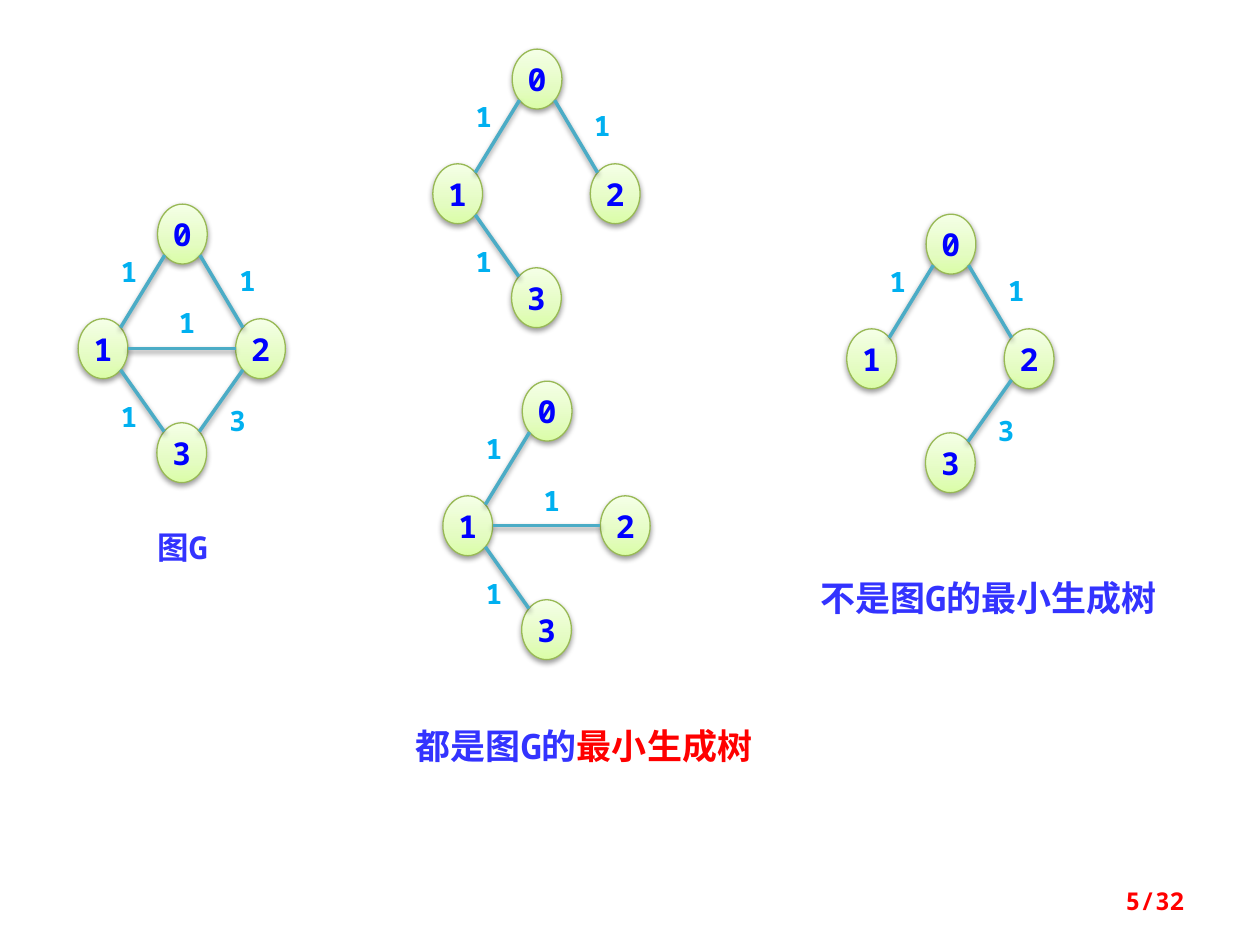
"""Build a slide comparing the spanning trees of a small weighted graph."""
import math

import pptx
import pptx.enum.shapes
import pptx.enum.text
import pptx.oxml
import pptx.oxml.ns
import pptx.util
from pptx.dml.color import RGBColor

THEME = {
    "mono": "Noto Sans Mono", "cjk": "Noto Sans CJK JP",
    "vertex": "0000FF", "weight": "00B0F0", "caption": "3333FF", "accent": "FF0000",
    "outline": "98B955", "edge": "4BACC6", "shadow": "000000",
    "gradient": [(0, "DAFDA7"), (35, "E4FCC2"), (100, "F5FFE7")],
    "vertex_size": 18, "weight_size": 16, "graph_name_size": 18,
    "caption_size": 20, "number_size": 14,
}
ALIGN = pptx.enum.text.PP_ALIGN
ANCHOR = pptx.enum.text.MSO_ANCHOR
SHAPE = pptx.enum.shapes.MSO_SHAPE
NAMESPACE = pptx.oxml.ns.nsdecls("a")

deck = pptx.Presentation()
deck.slide_width = pptx.util.Inches(10)
deck.slide_height = pptx.util.Inches(7.5)
page = deck.slides.add_slide(deck.slide_layouts[6])
column = deck.slide_width / 100
row = deck.slide_height / 75


def write(box, text, size=18, color="000000", font=THEME["mono"], bold=True,
          align=ALIGN.CENTER, anchor=ANCHOR.TOP, wrap=True):
    """Append a formatted span to the first paragraph of a box."""
    frame = box.text_frame
    frame.word_wrap = wrap
    frame.vertical_anchor = anchor
    para = frame.paragraphs[0]
    para.alignment = align
    span = para.add_run()
    span.text = text
    span.font.size = pptx.util.Pt(size)
    span.font.bold = bold
    span.font.name = font
    span.font.color.rgb = RGBColor.from_string(color)
    span._r.get_or_add_rPr().append(pptx.oxml.parse_xml(
        f'<a:ea {NAMESPACE} typeface="{THEME["cjk"]}"/>'))


def cast_shadow(item):
    """Append a soft downward shadow to a shape or connector."""
    item._element.spPr.append(pptx.oxml.parse_xml(
        f'<a:effectLst {NAMESPACE}><a:outerShdw blurRad="40000" dist="20000" '
        f'dir="5400000" rotWithShape="0"><a:srgbClr val="{THEME["shadow"]}">'
        '<a:alpha val="38000"/></a:srgbClr></a:outerShdw></a:effectLst>'))


vertex_width, vertex_height = 3.95, 4.75
vertices = {"0": (6.3, 0), "2": (12.5, 9.1), "1": (0, 9.1), "3": (6.25, 17.35)}
weight_places = {"01": (2.4, 3.5), "02": (11.8, 4.2), "12": (7, 7.6),
                 "13": (2.4, 15), "23": (11, 15.3)}
weights = {"01": "1", "02": "1", "12": "1", "13": "1", "23": "3"}
graphs = [
    (6.2, 16.2, ["01", "02", "12", "13", "23"]),
    (34.35, 3.9, ["01", "02", "13"]),
    (35.15, 30.25, ["01", "12", "13"]),
    (67.2, 17, ["01", "02", "23"]),
]
stops = "".join(f'<a:gs pos="{place * 1000}"><a:srgbClr val="{color}"/></a:gs>'
                for place, color in THEME["gradient"])

for left, top, edges in graphs:
    graph = page.shapes.add_group_shape()
    for name, (x, y) in vertices.items():
        vertex = graph.shapes.add_shape(
            SHAPE.OVAL, int((left + x) * column), int((top + y) * row),
            int(vertex_width * column), int(vertex_height * row))
        vertex._element.spPr.append(pptx.oxml.parse_xml(
            f'<a:gradFill {NAMESPACE} rotWithShape="1"><a:gsLst>{stops}</a:gsLst>'
            '<a:lin ang="16200000" scaled="0"/></a:gradFill>'))
        vertex.line.color.rgb = RGBColor.from_string(THEME["outline"])
        vertex.line.width = pptx.util.Pt(0.75)
        cast_shadow(vertex)
        write(vertex, name, size=THEME["vertex_size"], color=THEME["vertex"],
              anchor=ANCHOR.MIDDLE, wrap=False)

    for edge in edges:
        (x1, y1), (x2, y2) = (vertices[name] for name in edge)
        reach = 1 if y1 == y2 else math.sqrt(0.5)
        shift_x = math.copysign(reach * vertex_width / 2, x2 - x1)
        shift_y = 0 if y1 == y2 else reach * vertex_height / 2
        middle_x, middle_y = left + vertex_width / 2, top + vertex_height / 2
        line = graph.shapes.add_connector(
            pptx.enum.shapes.MSO_CONNECTOR.STRAIGHT,
            int((middle_x + x1 + shift_x) * column), int((middle_y + y1 + shift_y) * row),
            int((middle_x + x2 - shift_x) * column), int((middle_y + y2 - shift_y) * row))
        line.line.color.rgb = RGBColor.from_string(THEME["edge"])
        line.line.width = pptx.util.Pt(2)
        cast_shadow(line)

        x, y = weight_places[edge]
        label = graph.shapes.add_textbox(int((left + x) * column), int((top + y) * row),
                                         int(3.1 * column), int(3.7 * row))
        write(label, weights[edge], size=THEME["weight_size"], color=THEME["weight"])

blue = {"color": THEME["caption"], "size": THEME["caption_size"], "align": ALIGN.LEFT}
texts = [
    (10.2, 41.4, 8.6, 4, [("图G", blue | {"size": THEME["graph_name_size"],
                                         "align": ALIGN.CENTER})]),
    (32, 57, 32.8, 4.4, [("都是图G的", blue),
                         ("最小生成树", blue | {"color": THEME["accent"],
                                           "font": THEME["cjk"]})]),
    (64.1, 45.3, 28.9, 4.4, [("不是图G的最小生成树", blue)]),
    (71.7, 69.5, 23.3, 4, [("5/32", {"size": THEME["number_size"],
                                     "color": THEME["accent"], "align": ALIGN.RIGHT,
                                     "anchor": ANCHOR.MIDDLE})]),
]
for left, top, width, height, spans in texts:
    box = page.shapes.add_textbox(int(left * column), int(top * row),
                                  int(width * column), int(height * row))
    for text, style in spans:
        write(box, text, **style)

deck.save("out.pptx")
